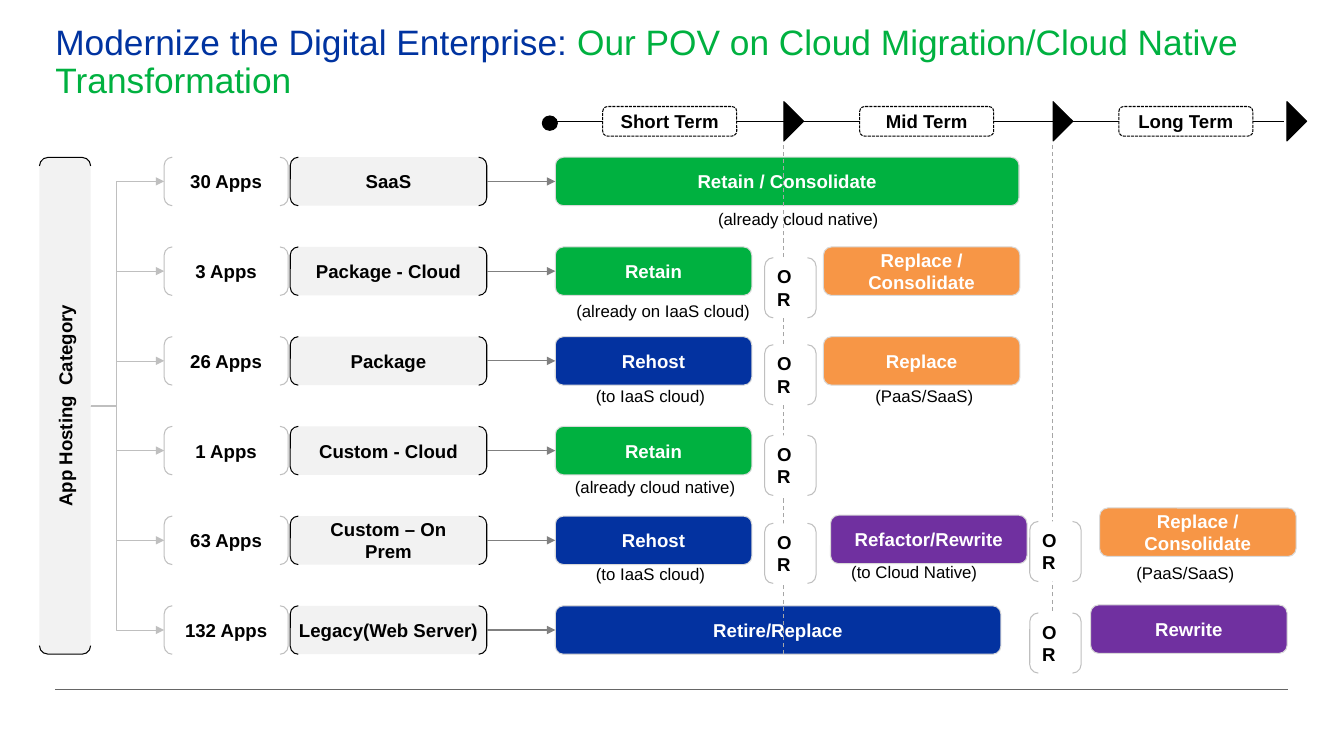
from dataclasses import dataclass

from lxml.etree import SubElement
from pptx import Presentation
from pptx.dml.color import RGBColor
from pptx.enum.dml import MSO_LINE
from pptx.enum.shapes import MSO_CONNECTOR, MSO_SHAPE
from pptx.enum.text import MSO_ANCHOR, MSO_AUTO_SIZE, PP_ALIGN
from pptx.oxml.ns import qn
from pptx.util import Inches, Pt


@dataclass(frozen=True)
class Theme:
    font: str = "Arial"
    title: float = 25.2
    label: float = 13.3
    caption: float = 12
    thin: float = 0.25
    line: float = 0.75
    navy: str = "0033A0"
    blue: str = "0332A0"
    green: str = "00B140"
    orange: str = "F79646"
    purple: str = "7030A0"
    black: str = "000000"
    white: str = "FFFFFF"
    panel: str = "F2F2F2"
    edge: str = "D9D9D9"
    bracket: str = "BFBFBF"
    dash: str = "A6A6A6"
    arrow: str = "808080"
    rule: str = "666666"


T = Theme()
WIDTH, HEIGHT = 13.33, 7.5
ROW_TOP, ROW_PITCH = 1.56, 0.89
BAR_H, CAPTION_H, TERM_H, OR_H = 0.54, 0.34, 0.33, 0.67  # in rows
AXIS = -0.4  # row of the timeline

# Columns, in percent of the slide's width: left and width
APPS = (12.22, 9.22)
HOSTING = (21.6, 14.62)
SHORT, MID, LONG = 41.32, 61.27, 81.82
BAR_W, TERM_W, OR_W = 14.62, 9.97, 3.82
OR_SHORT, OR_MID = 56.9, 76.62

# Apps, hosting category, first action, its width and its colour
ROWS = [
    ("30 Apps", "SaaS", "Retain / Consolidate", 34.5, T.green),
    ("3 Apps", "Package - Cloud", "Retain", BAR_W, T.green),
    ("26 Apps", "Package", "Rehost", BAR_W, T.blue),
    ("1 Apps", "Custom - Cloud", "Retain", BAR_W, T.green),
    ("63 Apps", "Custom – On Prem", "Rehost", BAR_W, T.blue),
    ("132 Apps", "Legacy(Web Server)", "Retire/Replace", 33.15, T.blue),
]
# Later actions: left, row, text, colour
LATER = [
    (MID, 1, "Replace / Consolidate", T.orange),
    (MID, 2, "Replace", T.orange),
    (LONG, 3.91, "Replace / Consolidate", T.orange),
    (61.8, 3.99, "Refactor/Rewrite", T.purple),
    (81.15, 4.99, "Rewrite", T.purple),
]
# Captions: left, row, width, text
CAPTIONS = [
    (52.65, 0.52, 13.5, "(already cloud native)"),
    (42.07, 1.54, 14.55, "(already on IaaS cloud)"),
    (43.57, 2.49, 9.67, "(to IaaS cloud)"),
    (42, 3.51, 13.5, "(already cloud native)"),
    (43.57, 4.48, 9.67, "(to IaaS cloud)"),
    (62.55, 4.45, 10.95, "(to Cloud Native)"),
    (64.35, 2.49, 8.85, "(PaaS/SaaS)"),
    (83.77, 4.46, 8.85, "(PaaS/SaaS)"),
]
ORS = [(OR_SHORT, 1.12), (OR_SHORT, 2.09), (OR_SHORT, 3.1), (OR_SHORT, 4.08),
       (OR_MID, 4.06), (OR_MID, 5.08)]
TERMS = [(44.85, "Short Term"), (63.97, "Mid Term"), (83.25, "Long Term")]


def across(share):
    return Inches(WIDTH * share / 100)


def down(rows):
    return Inches(ROW_PITCH * rows)


def row_y(row):
    return Inches(ROW_TOP) + down(row)


def place(x, row, w, h):
    return across(x), row_y(row), across(w), down(h)


def add_run(p, text, size=T.label, color=T.black, bold=False):
    r = p.add_run()
    r.text = text
    r.font.name, r.font.size, r.font.bold = T.font, Pt(size), bold
    r.font.color.rgb = RGBColor.from_string(color)


def set_insets(tf, x, y):
    tf.margin_left = tf.margin_right = Inches(x)
    tf.margin_top = tf.margin_bottom = Inches(y)


def add_box(s, kind, at, fill, line, text="", color=T.black, dash=None,
            inset=(0.13, 0.07), anchor=MSO_ANCHOR.MIDDLE, align=PP_ALIGN.CENTER):
    sp = s.shapes.add_shape(kind, *at)
    sp.shadow.inherit = False
    sp.fill.solid()
    sp.fill.fore_color.rgb = RGBColor.from_string(fill)
    sp.line.color.rgb = RGBColor.from_string(line)
    sp.line.width = Pt(T.line)
    if dash:
        sp.line.dash_style = dash
    if text:
        tf = sp.text_frame
        tf.word_wrap, tf.vertical_anchor = True, anchor
        set_insets(tf, *inset)
        tf.paragraphs[0].alignment = align
        add_run(tf.paragraphs[0], text, color=color, bold=True)
    return sp


def add_bar(s, x, row, w, text, fill):
    return add_box(s, MSO_SHAPE.ROUNDED_RECTANGLE, place(x, row, w, BAR_H),
                   fill, T.edge, text, color=T.white)


def add_line(s, start, end, color, width=T.line, dash=None, arrow=False, bend=None):
    kind = MSO_CONNECTOR.ELBOW if bend else MSO_CONNECTOR.STRAIGHT
    (x1, r1), (x2, r2) = start, end
    c = s.shapes.add_connector(kind, across(x1), row_y(r1), across(x2), row_y(r2))
    c.line.color.rgb = RGBColor.from_string(color)
    c.line.width = Pt(width)
    if dash:
        c.line.dash_style = dash
    sp_pr = c._element.spPr
    if arrow:
        SubElement(c.line._get_or_add_ln(), qn("a:tailEnd"), type="triangle")
    if bend:
        guides = sp_pr.find(qn("a:prstGeom")).get_or_add_avLst()
        SubElement(guides, qn("a:gd"), name="adj1", fmla=f"val {bend}")
    SubElement(sp_pr, qn("a:effectLst"))
    return c


def add_title(s):
    tf = s.shapes.add_textbox(*place(4.12, -1.47, 91.75, 0.61)).text_frame
    tf.word_wrap = True
    set_insets(tf, 0, 0)
    p = tf.paragraphs[0]
    p.line_spacing = 0.9
    add_run(p, "Modernize the Digital Enterprise: ", T.title, T.navy)
    add_run(p, "Our POV on Cloud Migration/Cloud Native Transformation", T.title, T.green)


def add_caption(s, x, row, w, text):
    tf = s.shapes.add_textbox(*place(x, row, w, CAPTION_H)).text_frame
    tf.word_wrap, tf.auto_size = False, MSO_AUTO_SIZE.SHAPE_TO_FIT_TEXT
    tf.paragraphs[0].alignment = PP_ALIGN.CENTER
    add_run(tf.paragraphs[0], text, T.caption)


def add_timeline(s):
    add_line(s, (SHORT, AXIS), (95.55, AXIS), T.black)
    for center in (59.06, 79.09, 96.49):
        w, h = 2.93, 0.22
        sp = add_box(s, MSO_SHAPE.FLOWCHART_EXTRACT,
                     place(center - w / 2, AXIS - h / 2, w, h), T.black, T.black)
        sp.rotation = 90
    for x, text in TERMS:
        add_box(s, MSO_SHAPE.ROUNDED_RECTANGLE, place(x, AXIS - TERM_H / 2, TERM_W, TERM_H),
                T.white, T.black, text, dash=MSO_LINE.SQUARE_DOT)
    add_box(s, MSO_SHAPE.FLOWCHART_CONNECTOR, place(40.35, -0.46, 1.12, 0.16), T.black, T.black)
    for x, top in ((58.33, -0.18), (78.3, -0.24)):
        add_line(s, (x, 5 + BAR_H), (x, top), T.dash, dash=MSO_LINE.DASH)


def add_category_tree(s):
    w, h, cx, cy = 36.97, 0.57, 4.84, 2.77
    sp = add_box(s, MSO_SHAPE.DOUBLE_BRACKET, place(cx - w / 2, cy - h / 2, w, h),
                 T.panel, T.black, "App Hosting  Category")
    sp.rotation = 270
    for i in range(len(ROWS)):
        add_line(s, (6.75, cy), (APPS[0], i + BAR_H / 2), T.bracket, T.thin,
                 arrow=True, bend=35300)


def main():
    prs = Presentation()
    prs.slide_width, prs.slide_height = Inches(WIDTH), Inches(HEIGHT)
    s = prs.slides.add_slide(prs.slide_layouts[6])

    # Footer rule and title
    add_line(s, (4.12, 5.93), (95.87, 5.93), T.rule, 0.5)
    add_title(s)

    # Hosting categories, each with an arrow to its first action
    for i, (_, hosting, action, w, fill) in enumerate(ROWS):
        inset = (0, 0.07) if hosting.startswith("Legacy") else (0.13, 0.07)
        source = add_box(s, MSO_SHAPE.DOUBLE_BRACKET, place(HOSTING[0], i, HOSTING[1], BAR_H),
                         T.panel, T.black, hosting, inset=inset)
        target = add_bar(s, SHORT, i, w, action, fill)
        middle = i + BAR_H / 2
        c = add_line(s, (sum(HOSTING), middle), (SHORT, middle), T.arrow, arrow=True)
        c.begin_connect(source, 3)
        c.end_connect(target, 1)
    for x, row, text, fill in LATER:
        add_bar(s, x, row, BAR_W, text, fill)

    # Timeline, app counts and the tree on the left
    add_timeline(s)
    for i, (apps, *_) in enumerate(ROWS):
        add_box(s, MSO_SHAPE.DOUBLE_BRACKET, place(APPS[0], i, APPS[1], BAR_H),
                T.white, T.bracket, apps)
    add_category_tree(s)

    # Captions and alternatives
    for caption in CAPTIONS:
        add_caption(s, *caption)
    for x, row in ORS:
        add_box(s, MSO_SHAPE.DOUBLE_BRACKET, place(x, row, OR_W, OR_H), T.white, T.bracket,
                "OR", inset=(0.1, 0.05), anchor=MSO_ANCHOR.TOP, align=PP_ALIGN.LEFT)

    prs.save("out.pptx")


if __name__ == "__main__":
    main()
